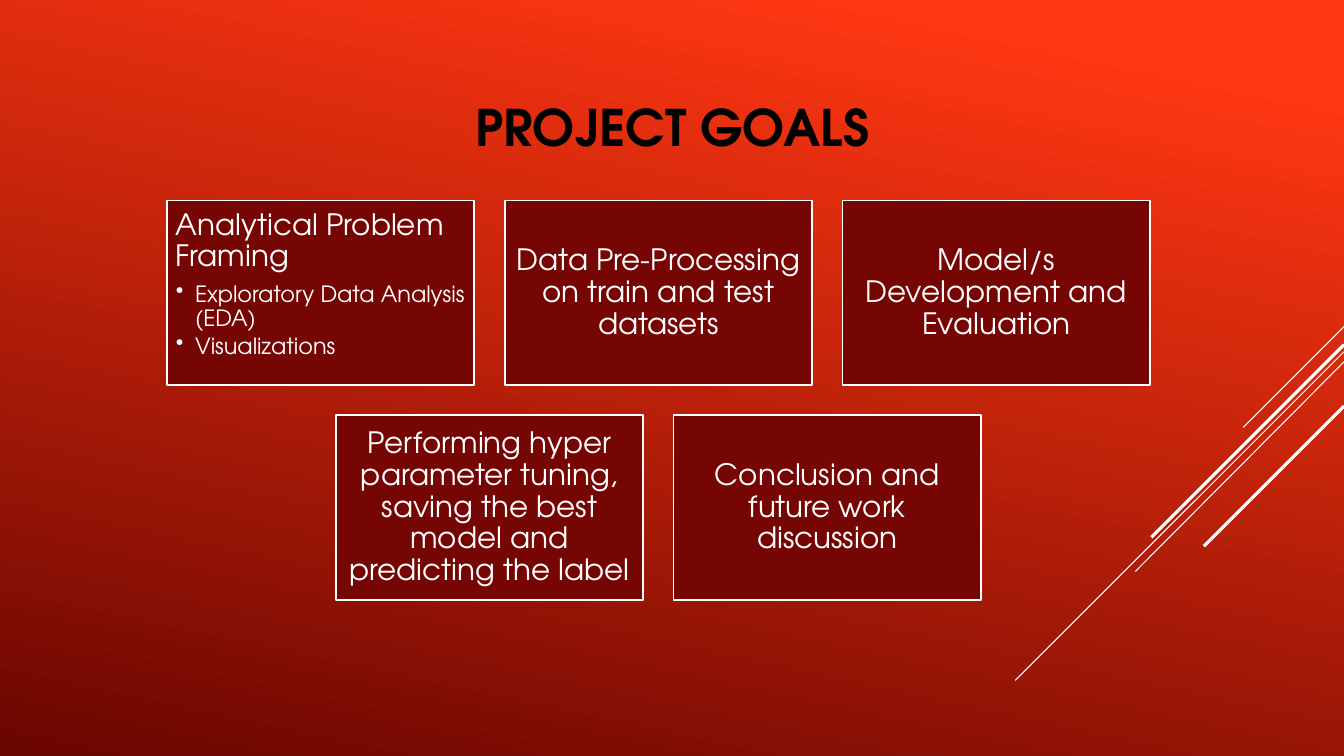
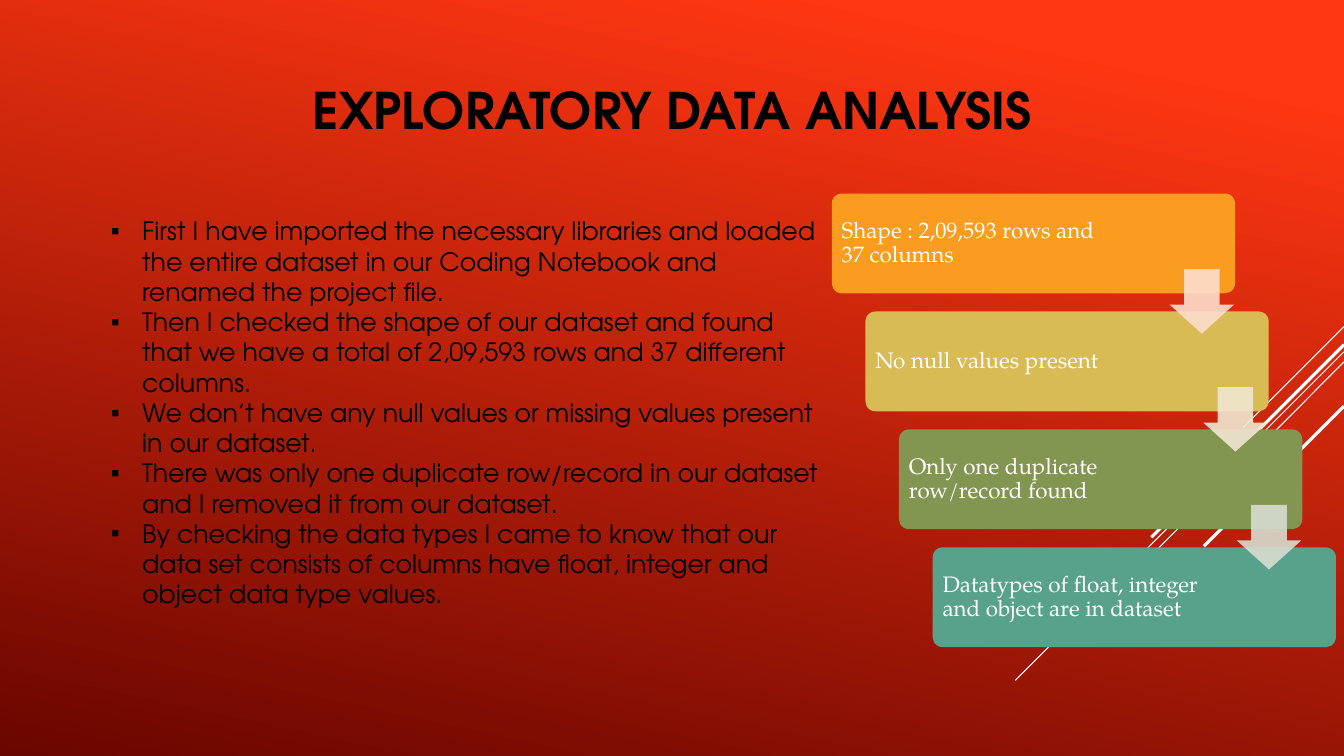
from dataclasses import dataclass

from lxml import etree
from pptx import Presentation
from pptx import util as u
from pptx.dml.color import RGBColor
from pptx.enum import shapes, text
from pptx.oxml import ns

Inches = u.Inches

COLORS = {
    "glow": "FF3712", "ember": "6A0600", "white": "FFFFFF", "black": "000000",
    "card": "760603", "orange": "FA9C1F", "sand": "D9BB55", "olive": "829551",
    "teal": "58A28B", "peach": "FDDECD", "cream": "F1E7D1", "sage": "D8DDD0",
}
HEADING_FONT = "TeX Gyre Adventor"
STEP_FONT = "TeX Gyre Pagella"


@dataclass
class Streak:
    start_y: float
    end_x: float
    end_y: float
    width: float


@dataclass
class Card:
    heading: str
    bullets: tuple = ()


@dataclass
class Step:
    caption: str
    color: str
    arrow_color: str = ""


STREAKS = [
    Streak(3.24, 12.33, 4.24, 0.75),
    Streak(3.49, 10.07, 6.75, 0.75),
    Streak(3.59, 11.26, 5.67, 0.75),
    Streak(3.42, 11.42, 5.33, 2.25),
    Streak(4.03, 11.94, 5.42, 2.25),
]
CARD_ROWS = [
    [
        Card("Analytical Problem Framing",
             ("Exploratory Data Analysis (EDA)", "Visualizations")),
        Card("Data Pre-Processing on train and test datasets"),
        Card("Model/s Development and Evaluation"),
    ],
    [
        Card("Performing hyper parameter tuning, saving the best model "
             "and predicting the label"),
        Card("Conclusion and future work discussion"),
    ],
]
STEPS = [
    Step("Shape : 2,09,593 rows and 37 columns", "orange", "peach"),
    Step("No null values present", "sand", "cream"),
    Step("Only one duplicate row/record found", "olive", "sage"),
    Step("Datatypes of float, integer and object are in dataset", "teal"),
]
FINDINGS = [
    "First I have imported the necessary libraries and loaded the entire dataset "
    "in our Coding Notebook and renamed the project file.",
    "Then I checked the shape of our dataset and found that we have a total of "
    "2,09,593 rows and 37 different columns.",
    "We don’t have any null values or missing values present in our dataset.",
    "There was only one duplicate row/record in our dataset and I removed it "
    "from our dataset.",
    "By checking the data types I came to know that our data set consists of "
    "columns have float, integer and object data type values.",
]


def rgb(name: str) -> RGBColor:
    return RGBColor.from_string(COLORS[name])


# Text helpers
def format_runs(paragraph, size: float, color: str, font=HEADING_FONT, bold=False) -> None:
    for run in paragraph.runs:
        run.font.size = u.Pt(size)
        run.font.name = font
        run.font.bold = bold
        run.font.color.rgb = rgb(color)


def set_bullet(paragraph, character: str, indent: float) -> None:
    properties = paragraph._p.get_or_add_pPr()
    properties.set("marL", str(Inches(indent)))
    properties.set("indent", str(-Inches(indent)))
    etree.SubElement(properties, ns.qn("a:buChar")).set("char", character)


def set_margins(frame, left: float, top: float, right: float, bottom: float) -> None:
    frame.margin_left, frame.margin_top = Inches(left), Inches(top)
    frame.margin_right, frame.margin_bottom = Inches(right), Inches(bottom)
    frame.word_wrap = True


def place(shape, left: float, top: float, width: float, height: float) -> None:
    shape.left, shape.top = Inches(left), Inches(top)
    shape.width, shape.height = Inches(width), Inches(height)


# Shared slide parts
def set_background(presentation) -> None:
    fill = presentation.slide_master.background.fill
    fill.gradient()
    fill.gradient_angle = 258
    for stop, position, color in zip(fill.gradient_stops, (0.1, 1), ("glow", "ember")):
        stop.position = position
        stop.color.rgb = rgb(color)


def add_streaks(slide) -> None:
    for streak in STREAKS:
        line = slide.shapes.add_connector(
            shapes.MSO_CONNECTOR.STRAIGHT, Inches(13.33), Inches(streak.start_y),
            Inches(streak.end_x), Inches(streak.end_y))
        line.line.color.rgb = rgb("white")
        line.line.width = u.Pt(streak.width)
        etree.SubElement(line._element.spPr, ns.qn("a:effectLst"))


def add_slide(presentation, layout: int, title: str, title_top: float):
    slide = presentation.slides.add_slide(presentation.slide_layouts[layout])
    place(slide.shapes.title, 1.67, title_top, 10, 1.17)
    frame = slide.shapes.title.text_frame
    frame.text = title
    frame.auto_size = text.MSO_AUTO_SIZE.NONE
    frame.vertical_anchor = text.MSO_ANCHOR.MIDDLE
    frame.paragraphs[0].alignment = text.PP_ALIGN.CENTER
    format_runs(frame.paragraphs[0], 36, "black", bold=True)
    add_streaks(slide)
    return slide


def add_filled_shape(slide, kind, left: float, top: float, width: float,
                     height: float, color: str):
    shape = slide.shapes.add_shape(
        kind, Inches(left), Inches(top), Inches(width), Inches(height))
    shape.shadow.inherit = False
    shape.fill.solid()
    shape.fill.fore_color.rgb = rgb(color)
    shape.line.fill.background()
    return shape


# Goal cards
def add_card(slide, card: Card, left: float, top: float, width: float, height: float) -> None:
    shape = add_filled_shape(
        slide, shapes.MSO_SHAPE.RECTANGLE, left, top, width, height, "card")
    shape.line.color.rgb = rgb("white")
    shape.line.width = u.Pt(1.25)
    frame = shape.text_frame
    set_margins(frame, 0.09, 0.09, 0.09, 0.09)
    frame.vertical_anchor = text.MSO_ANCHOR.TOP if card.bullets else text.MSO_ANCHOR.MIDDLE
    heading = frame.paragraphs[0]
    heading.text = card.heading
    heading.alignment = text.PP_ALIGN.LEFT if card.bullets else text.PP_ALIGN.CENTER
    heading.line_spacing = 0.9
    format_runs(heading, 21, "white")
    if card.bullets:
        heading.space_after = u.Pt(7)
    for bullet in card.bullets:
        paragraph = frame.add_paragraph()
        paragraph.text = bullet
        paragraph.level = 1
        paragraph.alignment = text.PP_ALIGN.LEFT
        paragraph.line_spacing = 0.9
        paragraph.space_after = u.Pt(2.5)
        set_bullet(paragraph, "•", 0.19)
        format_runs(paragraph, 16, "white")


def build_goals(presentation) -> None:
    slide = add_slide(presentation, 5, "PROJECT GOALS", 0.67)
    width, height, gap, center = 3.05, 1.83, 0.3, 6.53
    for row, cards in enumerate(CARD_ROWS):
        row_width = len(cards) * (width + gap) - gap
        for column, card in enumerate(cards):
            add_card(slide, card, center - row_width / 2 + column * (width + gap),
                     1.99 + row * (height + gap), width, height)


# Analysis steps
def add_step(slide, step: Step, left: float, top: float) -> None:
    shape = add_filled_shape(
        slide, shapes.MSO_SHAPE.ROUNDED_RECTANGLE, left, top, 4, 0.99, step.color)
    shape.adjustments[0] = 0.1
    frame = shape.text_frame
    set_margins(frame, 0.07, 0.07, 1.17, 0.07)
    frame.vertical_anchor = text.MSO_ANCHOR.MIDDLE
    frame.text = step.caption
    paragraph = frame.paragraphs[0]
    paragraph.alignment = text.PP_ALIGN.LEFT
    paragraph.line_spacing = 0.9
    format_runs(paragraph, 16, "white", STEP_FONT)


def add_step_arrow(slide, step: Step, left: float, top: float) -> None:
    arrow = add_filled_shape(
        slide, shapes.MSO_SHAPE.DOWN_ARROW, left, top, 0.64, 0.64, step.arrow_color)
    arrow.adjustments[0], arrow.adjustments[1] = 0.55, 0.45
    color = arrow._element.spPr.find(ns.qn("a:solidFill")).find(ns.qn("a:srgbClr"))
    etree.SubElement(color, ns.qn("a:alpha")).set("val", "90000")


def build_analysis(presentation) -> None:
    slide = add_slide(presentation, 1, "EXPLORATORY DATA ANALYSIS", 0.5)
    positions = [(8.25 + index / 3, 1.92 + index * 1.17) for index in range(len(STEPS))]
    for step, (left, top) in zip(STEPS, positions):
        add_step(slide, step, left, top)
    for step, (left, top) in zip(STEPS, positions):
        if step.arrow_color:
            add_step_arrow(slide, step, left + 3.35, top + 0.75)

    body = slide.placeholders[1]
    place(body, 1, 2.09, 7.25, 4.04)
    frame = body.text_frame
    frame.text = "\n".join(FINDINGS)
    frame.auto_size = text.MSO_AUTO_SIZE.NONE
    frame.vertical_anchor = text.MSO_ANCHOR.TOP
    for paragraph in frame.paragraphs:
        paragraph.space_before = u.Pt(0)
        set_bullet(paragraph, "▪", 0.31)
        format_runs(paragraph, 18, "black")


def main() -> None:
    presentation = Presentation()
    presentation.slide_width, presentation.slide_height = Inches(13.33), Inches(7.5)
    set_background(presentation)
    build_goals(presentation)
    build_analysis(presentation)
    presentation.save("out.pptx")


if __name__ == "__main__":
    main()
